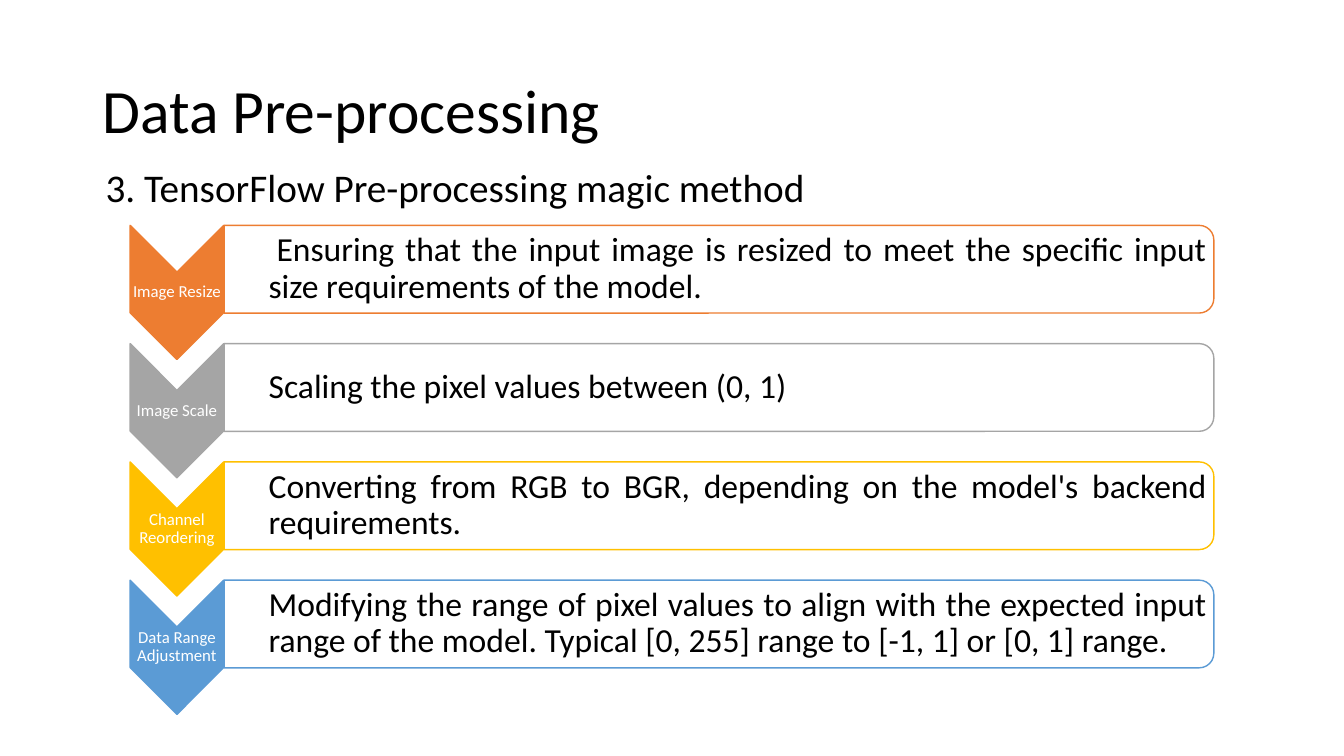
import pptx
import pptx.dml.color
import pptx.enum.shapes
import pptx.enum.text
import pptx.oxml
import pptx.oxml.ns
import pptx.util

Cm = pptx.util.Cm
Align = pptx.enum.text.PP_ALIGN
Shape = pptx.enum.shapes.MSO_SHAPE

STEPS = [
    ("Image Resize", "ED7D31", Align.JUSTIFY, 0.2,
     "Ensuring that the input image is resized to meet the specific input size requirements of the model."),
    ("Image Scale", "A5A5A5", Align.LEFT, 0,
     "Scaling the pixel values between (0, 1)"),
    ("Channel Reordering", "FFC000", Align.JUSTIFY, 0,
     "Converting from RGB to BGR, depending on the model's backend requirements."),
    ("Data Range Adjustment", "5B9BD5", Align.JUSTIFY, 0,
     "Modifying the range of pixel values to align with the expected input range of the model. "
     "Typical [0, 255] range to [-1, 1] or [0, 1] range."),
]
FIRST_TOP = 5.68
ROW_PITCH = 2.98


def rgb(value):
    return pptx.dml.color.RGBColor.from_string(value)


def write_text(shape, text, size, color="000000", align=Align.LEFT,
               margins=(0.25, 0.13, 0.25, 0.13), indent=0, first_line=0):
    frame = shape.text_frame
    frame.word_wrap = True
    frame.auto_size = pptx.enum.text.MSO_AUTO_SIZE.NONE
    frame.vertical_anchor = pptx.enum.text.MSO_ANCHOR.MIDDLE
    frame.margin_left, frame.margin_top, frame.margin_right, frame.margin_bottom = map(Cm, margins)
    paragraph = frame.paragraphs[0]
    paragraph.text = text
    paragraph.alignment = align
    paragraph.line_spacing = 0.9
    paragraph.space_before = pptx.util.Pt(0)
    properties = paragraph._p.get_or_add_pPr()
    properties.set("marL", str(Cm(indent)))
    properties.set("indent", str(Cm(first_line)))
    pptx.oxml.ns.qn("a:buNone")
    properties.append(pptx.oxml.parse_xml(
        '<a:buNone xmlns:a="http://schemas.openxmlformats.org/drawingml/2006/main"/>'))
    font = paragraph.font
    font.name = "Calibri"
    font.size = pptx.util.Pt(size)
    font.color.rgb = rgb(color)


def place(shape, left, top, width, height):
    shape.left, shape.top, shape.width, shape.height = map(Cm, (left, top, width, height))


def add_turned_shape(slide, kind, left, top, width, height, fill, line):
    shape = slide.shapes.add_shape(
        kind, Cm(left + (width - height) / 2), Cm(top + (height - width) / 2), Cm(height), Cm(width))
    shape.rotation = 90
    shape.shadow.inherit = False
    shape.fill.solid()
    shape.fill.fore_color.rgb = rgb(fill)
    shape.line.color.rgb = rgb(line)
    shape.line.width = pptx.util.Pt(1)
    return shape


def add_text_box(slide, left, top, width, height, text, size, **text_format):
    box = slide.shapes.add_textbox(Cm(left), Cm(top), Cm(width), Cm(height))
    write_text(box, text, size, **text_format)


def add_step(slide, top, label, color, align, first_line, description):
    add_turned_shape(slide, Shape.CHEVRON, 3.28, top, 2.36, 3.38, color, color)
    add_text_box(slide, 3.28, top + 1.18, 2.36, 1.02, label, 12, color="FFFFFF",
                 align=Align.CENTER, margins=(0.02,) * 4)
    add_turned_shape(slide, Shape.ROUND_2_SAME_RECTANGLE, 5.65, top, 24.94, 2.21, "FFFFFF", color)
    add_text_box(slide, 5.65, top + 0.11, 24.82, 1.98, description, 24, align=align,
                 margins=(0.48, 0.05, 0.05, 0.05), indent=0.64, first_line=first_line)


def main():
    presentation = pptx.Presentation()
    presentation.slide_width = Cm(33.87)
    presentation.slide_height = Cm(19.05)
    slide = presentation.slides.add_slide(presentation.slide_layouts[1])
    title, subtitle = slide.placeholders
    place(title, 2.33, 1.01, 29.21, 3.68)
    write_text(title, "Data Pre-processing", 44)
    place(subtitle, 2.41, 4.06, 29.21, 1.47)
    write_text(subtitle, "3. TensorFlow Pre-processing magic method", 28)
    for row, step in enumerate(STEPS):
        add_step(slide, FIRST_TOP + row * ROW_PITCH, *step)
    presentation.save("out.pptx")


if __name__ == "__main__":
    main()
